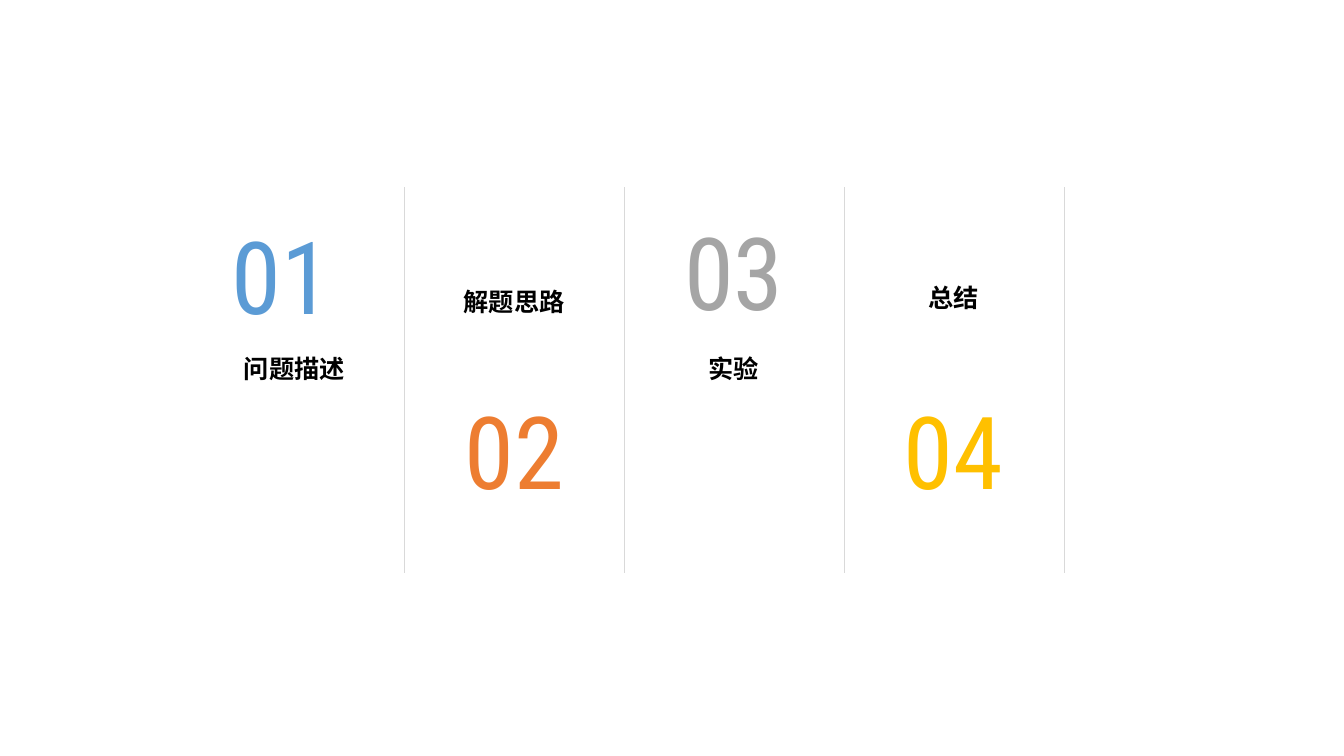
from dataclasses import dataclass

from lxml.etree import SubElement
from pptx import Presentation
from pptx.dml.color import RGBColor
from pptx.enum.shapes import MSO_CONNECTOR
from pptx.enum.text import MSO_ANCHOR, PP_ALIGN
from pptx.oxml.ns import qn
from pptx.slide import Slide
from pptx.util import Inches, Pt


@dataclass(frozen=True)
class Theme:
    number_font: str = "Roboto Condensed"
    label_font: str = "TeX Gyre Adventor"
    number_size: float = 72
    label_size: float = 18
    divider_width: float = 0.25
    label_color: str = "000000"
    divider_color: str = "D9D9D9"


@dataclass(frozen=True)
class Grid:
    """Agenda columns, in inches."""
    left: float = 1.83
    column: float = 2.18
    top: float = 1.86
    bottom: float = 5.68
    number_width: float = 1.6
    number_height: float = 1.73
    label_width: float = 2.13
    label_height: float = 0.42

    def edge(self, column: int) -> float:
        return self.left + column * self.column

    def center(self, column: int) -> float:
        return self.edge(column) + self.column / 2


@dataclass(frozen=True)
class Section:
    label: str
    color: str
    number_top: float
    label_top: float
    number_shift: float = 0


THEME = Theme()
GRID = Grid()
SECTIONS = [
    Section("问题描述", "5B9BD5", 1.86, 3.43, number_shift=-0.13),
    Section("解题思路", "ED7D31", 3.59, 2.77),
    Section("实验", "A5A5A5", 1.82, 3.43),
    Section("总结", "FFC000", 3.59, 2.73),
]


def add_text(slide: Slide, text: str, center: float, top: float, width: float,
             height: float, font_name: str, size: float, color: str,
             anchor: MSO_ANCHOR, bold: bool = False,
             margins: tuple[float, float] = (0, 0)) -> None:
    box = slide.shapes.add_textbox(Inches(center - width / 2), Inches(top),
                                   Inches(width), Inches(height))
    frame = box.text_frame
    frame.word_wrap = False
    frame.vertical_anchor = anchor
    frame.margin_left = frame.margin_right = Inches(margins[0])
    frame.margin_top = frame.margin_bottom = Inches(margins[1])
    paragraph = frame.paragraphs[0]
    paragraph.text = text
    paragraph.alignment = PP_ALIGN.CENTER
    paragraph.font.name = font_name
    paragraph.font.size = Pt(size)
    paragraph.font.bold = bold
    paragraph.font.color.rgb = RGBColor.from_string(color)


def add_divider(slide: Slide, x: float) -> None:
    divider = slide.shapes.add_connector(
        MSO_CONNECTOR.STRAIGHT, Inches(x), Inches(GRID.top),
        Inches(x), Inches(GRID.bottom))
    divider.line.color.rgb = RGBColor.from_string(THEME.divider_color)
    divider.line.width = Pt(THEME.divider_width)
    SubElement(divider._element.spPr, qn("a:effectLst"))


def add_section(slide: Slide, column: int, section: Section) -> None:
    center = GRID.center(column)
    add_text(slide, f"{column + 1:02d}", center + section.number_shift,
             section.number_top, GRID.number_width, GRID.number_height,
             THEME.number_font, THEME.number_size, section.color,
             MSO_ANCHOR.MIDDLE)
    add_divider(slide, GRID.edge(column + 1))
    add_text(slide, section.label, center, section.label_top,
             GRID.label_width, GRID.label_height, THEME.label_font,
             THEME.label_size, THEME.label_color, MSO_ANCHOR.BOTTOM,
             bold=True, margins=(0.1, 0.05))


def main() -> None:
    presentation = Presentation()
    presentation.slide_width = Inches(13.33)
    presentation.slide_height = Inches(7.5)
    # The agenda has no title, so it uses the blank layout
    agenda = presentation.slides.add_slide(presentation.slide_layouts[6])

    # One column per section: number, label and the divider to its right
    for column, section in enumerate(SECTIONS):
        add_section(agenda, column, section)

    presentation.save("out.pptx")


if __name__ == "__main__":
    main()
